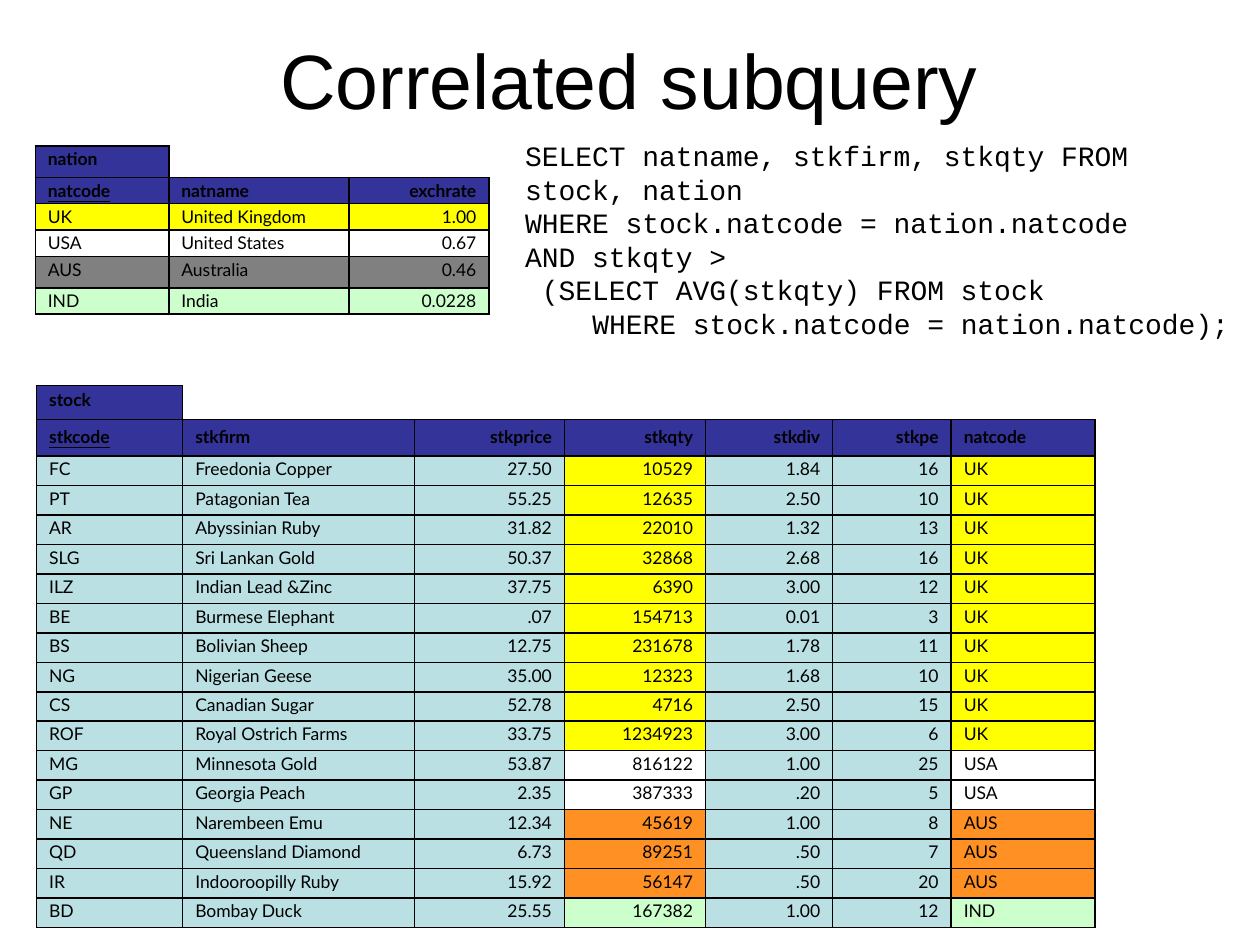
from lxml.etree import SubElement
from pptx import Presentation
from pptx.dml.color import RGBColor
from pptx.enum.text import MSO_ANCHOR, PP_ALIGN
from pptx.oxml.ns import qn
from pptx.util import Inches, Pt

BLACK = RGBColor(0x00, 0x00, 0x00)
WHITE = RGBColor(0xFF, 0xFF, 0xFF)
HEADER_BLUE = RGBColor(0x33, 0x33, 0x99)
PALE_TEAL = RGBColor(0xBB, 0xE0, 0xE3)
YELLOW = RGBColor(0xFF, 0xFF, 0x00)
GRAY = RGBColor(0x80, 0x80, 0x80)
ORANGE = RGBColor(0xFF, 0x91, 0x24)
PALE_GREEN = RGBColor(0xCC, 0xFF, 0xCC)

NATION_COLORS = {"UK": YELLOW, "USA": WHITE, "AUS": GRAY, "IND": PALE_GREEN}
STOCK_COLORS = {**NATION_COLORS, "AUS": ORANGE}

NATION_HEADERS = ["natcode", "natname", "exchrate"]
NATIONS = [
    ("UK", "United Kingdom", "1.00"),
    ("USA", "United States", "0.67"),
    ("AUS", "Australia", "0.46"),
    ("IND", "India", "0.0228"),
]
STOCK_HEADERS = ["stkcode", "stkfirm", "stkprice", "stkqty", "stkdiv", "stkpe", "natcode"]
STOCKS = [
    ("FC", "Freedonia Copper", "27.50", "10529", "1.84", "16", "UK"),
    ("PT", "Patagonian Tea", "55.25", "12635", "2.50", "10", "UK"),
    ("AR", "Abyssinian Ruby", "31.82", "22010", "1.32", "13", "UK"),
    ("SLG", "Sri Lankan Gold", "50.37", "32868", "2.68", "16", "UK"),
    ("ILZ", "Indian Lead &Zinc", "37.75", "6390", "3.00", "12", "UK"),
    ("BE", "Burmese Elephant", ".07", "154713", "0.01", "3", "UK"),
    ("BS", "Bolivian Sheep", "12.75", "231678", "1.78", "11", "UK"),
    ("NG", "Nigerian Geese", "35.00", "12323", "1.68", "10", "UK"),
    ("CS", "Canadian Sugar", "52.78", "4716", "2.50", "15", "UK"),
    ("ROF", "Royal Ostrich Farms", "33.75", "1234923", "3.00", "6", "UK"),
    ("MG", "Minnesota Gold", "53.87", "816122", "1.00", "25", "USA"),
    ("GP", "Georgia Peach", "2.35", "387333", ".20", "5", "USA"),
    ("NE", "Narembeen Emu", "12.34", "45619", "1.00", "8", "AUS"),
    ("QD", "Queensland Diamond", "6.73", "89251", ".50", "7", "AUS"),
    ("IR", "Indooroopilly Ruby", "15.92", "56147", ".50", "20", "AUS"),
    ("BD", "Bombay Duck", "25.55", "167382", "1.00", "12", "IND"),
]
QUERY = [
    ("SELECT natname, stkfirm, stkqty FROM stock, nation", 0),
    ("WHERE stock.natcode = nation.natcode", 0),
    ("AND stkqty >", 0),
    ("(SELECT AVG(stkqty) FROM stock", 1),
    ("WHERE stock.natcode = nation.natcode);", 4),
]
QUERY_CHARACTER_WIDTH = Pt(9.6)


def set_attributes(target, values):
    for name, value in values.items():
        setattr(target, name, value)


def write_text(paragraph, text, font_name, size, **font_format):
    run = paragraph.add_run()
    run.text = text
    set_attributes(run.font, {"name": font_name, "size": Pt(size), **font_format})
    run.font.color.rgb = BLACK


def add_text_box(slide, left, top, width, height, anchor):
    shape = slide.shapes.add_textbox(Inches(left), Inches(top), Inches(width), Inches(height))
    set_attributes(shape.text_frame, {"word_wrap": True, "vertical_anchor": anchor})
    return shape.text_frame


def add_title(slide, text):
    paragraph = add_text_box(slide, 1.96, 0, 6.07, 1.25, MSO_ANCHOR.MIDDLE).paragraphs[0]
    paragraph.alignment = PP_ALIGN.CENTER
    write_text(paragraph, text, "Arial", 44)


def add_query(slide, lines):
    frame = add_text_box(slide, 4.07, 1.05, 5.84, 1.72, MSO_ANCHOR.TOP)
    for index, (text, indent) in enumerate(lines):
        paragraph = frame.add_paragraph() if index else frame.paragraphs[0]
        if indent:
            properties = paragraph._p.get_or_add_pPr()
            properties.set("marL", str(indent * QUERY_CHARACTER_WIDTH))
            properties.set("indent", "0")
        write_text(paragraph, text, "Courier New", 16)


def set_borders(cell, sides):
    properties = cell._tc.get_or_add_tcPr()
    for index, side in enumerate(side for side in "LRTB" if side in sides):
        line = properties.makeelement(qn(f"a:ln{side}"), {"w": str(Pt(1))})
        fill = SubElement(line, qn("a:solidFill"))
        SubElement(fill, qn("a:srgbClr"), val=str(BLACK))
        properties.insert(index, line)


def fill_cell(cell, text, color, margin, spacing, right, **font_format):
    set_attributes(cell, {"margin_top": Inches(margin), "margin_bottom": Inches(margin)})
    cell.fill.solid()
    cell.fill.fore_color.rgb = color
    paragraph = cell.text_frame.paragraphs[0]
    alignment = PP_ALIGN.RIGHT if right else PP_ALIGN.LEFT
    paragraph_format = {"alignment": alignment, "space_before": Pt(5), "line_spacing": spacing}
    set_attributes(paragraph, paragraph_format)
    write_text(paragraph, text, "Lato", 10, **font_format)
    set_borders(cell, "LRTB")


def clear_cell(cell, sides):
    set_attributes(cell, {"margin_top": 0, "margin_bottom": 0})
    cell.fill.background()
    paragraph = cell.text_frame.paragraphs[0]
    SubElement(paragraph._p, qn("a:endParaRPr"), sz="1000")
    set_borders(cell, sides)


def add_data_table(slide, name, headers, records, left, top, widths, heights,
                   right_columns, color_of, margin, name_spacing, body_spacing):
    shape = slide.shapes.add_table(
        len(heights), len(widths), Inches(left), Inches(top),
        Inches(sum(widths)), Inches(sum(heights)))
    table = shape.table
    set_attributes(table, {"first_row": False, "horz_banding": False})
    for column, width in zip(table.columns, widths):
        column.width = Inches(width)
    for row, height in zip(table.rows, heights):
        row.height = Inches(height)

    fill_cell(table.cell(0, 0), name, HEADER_BLUE, margin, name_spacing, False, bold=True)
    for column in range(1, len(headers)):
        clear_cell(table.cell(0, column), "LB" if column == 1 else "B")
    for column, header in enumerate(headers):
        fill_cell(table.cell(1, column), header, HEADER_BLUE, margin, 1.0,
                  column in right_columns, bold=True, underline=column == 0)
    for row, record in enumerate(records, start=2):
        for column, text in enumerate(record):
            fill_cell(table.cell(row, column), text, color_of(record, column), margin,
                      body_spacing, column in right_columns, bold=False)


def nation_color(record, column):
    return NATION_COLORS[record[0]]


def stock_color(record, column):
    return STOCK_COLORS[record[-1]] if column in (3, 6) else PALE_TEAL


def main():
    presentation = Presentation()
    set_attributes(presentation, {"slide_width": Inches(10), "slide_height": Inches(7.5)})
    slide = presentation.slides.add_slide(presentation.slide_layouts[6])
    add_title(slide, "Correlated subquery")
    add_data_table(
        slide, "nation", NATION_HEADERS, NATIONS, 0.28, 1.16,
        [1.06, 1.43, 1.11], [0.25, 0.2, 0.21, 0.21, 0.25, 0.2],
        {2}, nation_color, 0.02, 1.0, 1.0)
    add_data_table(
        slide, "stock", STOCK_HEADERS, STOCKS, 0.29, 3.06,
        [1.16, 1.84, 1.19, 1.12, 1.01, 0.94, 1.14], [0.27, 0.29] + [3.74 / len(STOCKS)] * len(STOCKS),
        {2, 3, 4, 5}, stock_color, 0.05, 0.88, 0.8)
    add_query(slide, QUERY)
    presentation.save("out.pptx")


if __name__ == "__main__":
    main()
